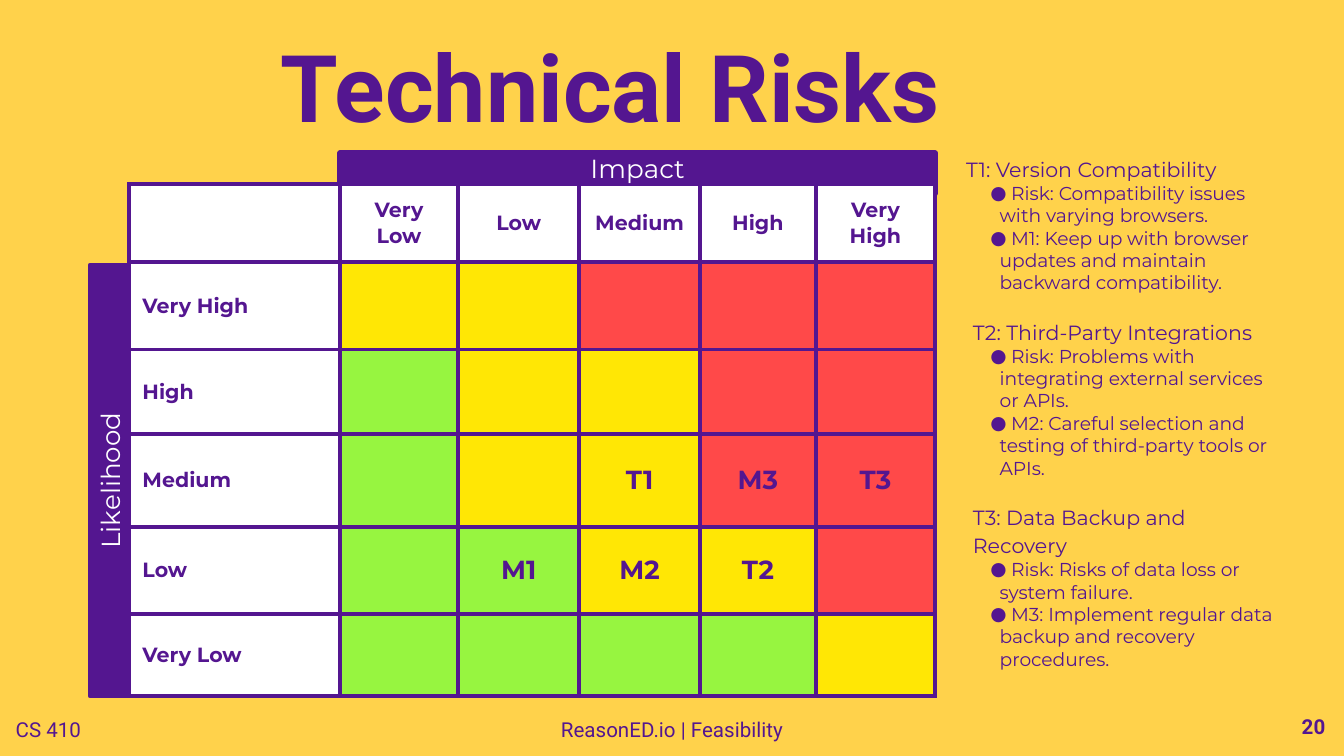
"""Build the technical risk matrix slide."""
from lxml import etree
from pptx import Presentation
from pptx.dml.color import RGBColor
from pptx.enum.shapes import MSO_SHAPE
from pptx.enum.text import MSO_ANCHOR, MSO_AUTO_SIZE, PP_ALIGN
from pptx.oxml.ns import qn
from pptx.util import Inches, Pt

RECT = MSO_SHAPE.RECTANGLE
MIDDLE = MSO_ANCHOR.MIDDLE
FIXED = MSO_AUTO_SIZE.NONE
LEFT, CENTER, RIGHT = PP_ALIGN.LEFT, PP_ALIGN.CENTER, PP_ALIGN.RIGHT

PURPLE = RGBColor(0x54, 0x16, 0x90)
GOLD = RGBColor(0xFF, 0xD2, 0x4B)
WHITE = RGBColor(0xFF, 0xFF, 0xFF)
RED = RGBColor(0xFF, 0x49, 0x49)
YELLOW = RGBColor(0xFF, 0xE7, 0x05)
GREEN = RGBColor(0x97, 0xF5, 0x40)
RISK = {"W": WHITE, "R": RED, "Y": YELLOW, "G": GREEN}

WIDE = Inches(10)
HIGH = WIDE * 9 // 16
COLUMNS = 100
HEAD, BODY = "Roboto", "Montserrat"

WIDTHS = [15.7, 8.8, 9, 9, 8.6, 8.9]
HEIGHTS = [5.8, 6.5, 6.3, 6.9, 6.5, 6.1]
COLORS = ["WWWWWW", "WYYRRR", "WGYYRR", "WGYYRR", "WGGYYR", "WGGGGY"]
LABELS = [
    ["", "Very Low", "Low", "Medium", "High", "Very High"],
    ["Very High", "", "", "", "", ""],
    ["High", "", "", "", "", ""],
    ["Medium", "", "", "T1", "M3", "T3"],
    ["Low", "", "M1", "M2", "T2", ""],
    ["Very Low", "", "", "", "", ""],
]
NOTES = [
    ("T1: Version Compatibility", [
        "Risk: Compatibility issues with varying browsers.",
        "M1: Keep up with browser updates and maintain backward compatibility."]),
    ("T2: Third-Party Integrations", [
        "Risk: Problems with integrating external services or APIs.",
        "M2: Careful selection and testing of third-party tools or APIs."]),
    ("T3: Data Backup and Recovery", [
        "Risk: Risks of data loss or system failure.",
        "M3: Implement regular data backup and recovery procedures."]),
]


def unit(count):
    """Turn grid columns or rows into a length."""
    return int(WIDE * count / COLUMNS)


class Deck:
    """Hold the style and the current slide."""

    def __init__(self):
        """Open a title-only slide with a gold background."""
        self.show = Presentation()
        self.show.slide_width, self.show.slide_height = WIDE, HIGH
        self.slide = self.show.slides.add_slide(self.show.slide_layouts[5])
        fill = self.slide.background.fill
        fill.solid()
        fill.fore_color.rgb = GOLD

    def style(self, para, size, font=BODY, color=PURPLE, bold=False, align=LEFT):
        """Format a paragraph and its runs."""
        para.alignment = align
        for run in para.runs:
            run.font.name, run.font.size = font, Pt(size)
            run.font.bold, run.font.color.rgb = bold, color

    def inset(self, item, side, edge):
        """Set the margins of a frame or cell."""
        item.margin_left = item.margin_right = unit(side)
        item.margin_top = item.margin_bottom = unit(edge)

    def title(self, text, *area):
        """Move and fill the title placeholder."""
        shape = self.slide.shapes.title
        shape.left, shape.top, shape.width, shape.height = map(unit, area)
        frame = shape.text_frame
        frame.text = text
        frame.auto_size, frame.vertical_anchor = FIXED, MIDDLE
        self.inset(frame, 1, 0.5)
        frame.paragraphs[0].line_spacing = 0.85
        self.style(frame.paragraphs[0], 50, HEAD, bold=True, align=CENTER)

    def box(self, area, edge=1):
        """Add a wrapping text box and return its frame."""
        frame = self.slide.shapes.add_textbox(*map(unit, area)).text_frame
        frame.word_wrap = True
        self.inset(frame, 1, edge)
        return frame

    def foot(self, text, area, align=CENTER, bold=False):
        """Add a footer text."""
        frame = self.box(area)
        frame.text = text
        self.style(frame.paragraphs[0], 11, HEAD, bold=bold, align=align)

    def bar(self, text, area, line=3, turn=0):
        """Add a purple axis bar."""
        shape = self.slide.shapes.add_shape(RECT, *map(unit, area))
        shape.shadow.inherit = False
        shape.fill.solid()
        shape.fill.fore_color.rgb = shape.line.color.rgb = PURPLE
        shape.line.width, shape.rotation = Pt(line), turn
        if text:
            frame = shape.text_frame
            frame.text, frame.vertical_anchor = text, MIDDLE
            self.inset(frame, 1, 1)
            self.style(frame.paragraphs[0], 14, color=WHITE, align=CENTER)

    def border(self, cell):
        """Draw purple lines on all sides of a cell."""
        props = cell._tc.get_or_add_tcPr()
        for spot, side in enumerate(("lnL", "lnR", "lnT", "lnB")):
            line = etree.Element(qn("a:" + side), w=str(Pt(2.25)))
            fill = etree.SubElement(line, qn("a:solidFill"))
            etree.SubElement(fill, qn("a:srgbClr"), val=str(PURPLE))
            props.insert(spot, line)

    def matrix(self, left, top):
        """Add the risk table."""
        area = map(unit, (left, top, sum(WIDTHS), sum(HEIGHTS)))
        table = self.slide.shapes.add_table(len(HEIGHTS), len(WIDTHS), *area).table
        table.first_row = table.horz_banding = False
        for column, width in zip(table.columns, WIDTHS):
            column.width = unit(width)
        for row, height in zip(table.rows, HEIGHTS):
            row.height = unit(height)
        for r, (codes, labels) in enumerate(zip(COLORS, LABELS)):
            for c, (code, label) in enumerate(zip(codes, labels)):
                cell = table.cell(r, c)
                cell.text, cell.vertical_anchor = label, MIDDLE
                self.inset(cell, 1, 0)
                cell.fill.solid()
                cell.fill.fore_color.rgb = RISK[code]
                self.border(cell)
                self.style(cell.text_frame.paragraphs[0], 14 if r and c else 11,
                           bold=True, align=CENTER if c else LEFT)

    def bullet(self, para):
        """Give a paragraph a round bullet with a hanging indent."""
        props = para._p.get_or_add_pPr()
        props.set("marL", str(unit(2.5)))
        props.set("indent", str(unit(-0.7)))
        color = etree.SubElement(props, qn("a:buClr"))
        etree.SubElement(color, qn("a:srgbClr"), val=str(PURPLE))
        etree.SubElement(props, qn("a:buFont"), typeface=BODY)
        etree.SubElement(props, qn("a:buChar"), char="●")

    def notes(self, *area):
        """Add the risk list with its mitigations."""
        frame = self.box(area, 0)
        for n, (head, points) in enumerate(NOTES):
            para = frame.add_paragraph() if n else frame.paragraphs[0]
            para.text, para.line_spacing = head, 1.15
            if n:
                para.space_before = Pt(12)
                para._p.get_or_add_pPr().set("marL", str(unit(0.5)))
            self.style(para, 11)
            for point in points:
                para = frame.add_paragraph()
                para.text = " " + point
                self.bullet(para)
                self.style(para, 10)


def main():
    """Compose and save the slide."""
    deck = Deck()
    deck.title("Technical Risks", 1.8, 2.9, 87.3, 8.1)
    deck.foot("ReasonED.io | Feasibility", (37.9, 52.4, 24.2, 3.9))
    deck.foot("20", (93.6, 52.2, 6, 4.3), RIGHT, True)
    deck.foot("CS 410", (0, 52.4, 7.2, 3.9))
    deck.notes(70.9, 11.4, 25.6, 38)
    deck.bar("", (25.3, 12.2, 44.3, 2.2))
    deck.bar("Likelihood", (-7.9, 34.3, 32.1, 2.9), 2.25, 270)
    deck.matrix(9.6, 13.7)
    deck.bar("Impact", (25.3, 11.4, 44.3, 2.2))
    deck.show.save("out.pptx")


if __name__ == "__main__":
    main()
